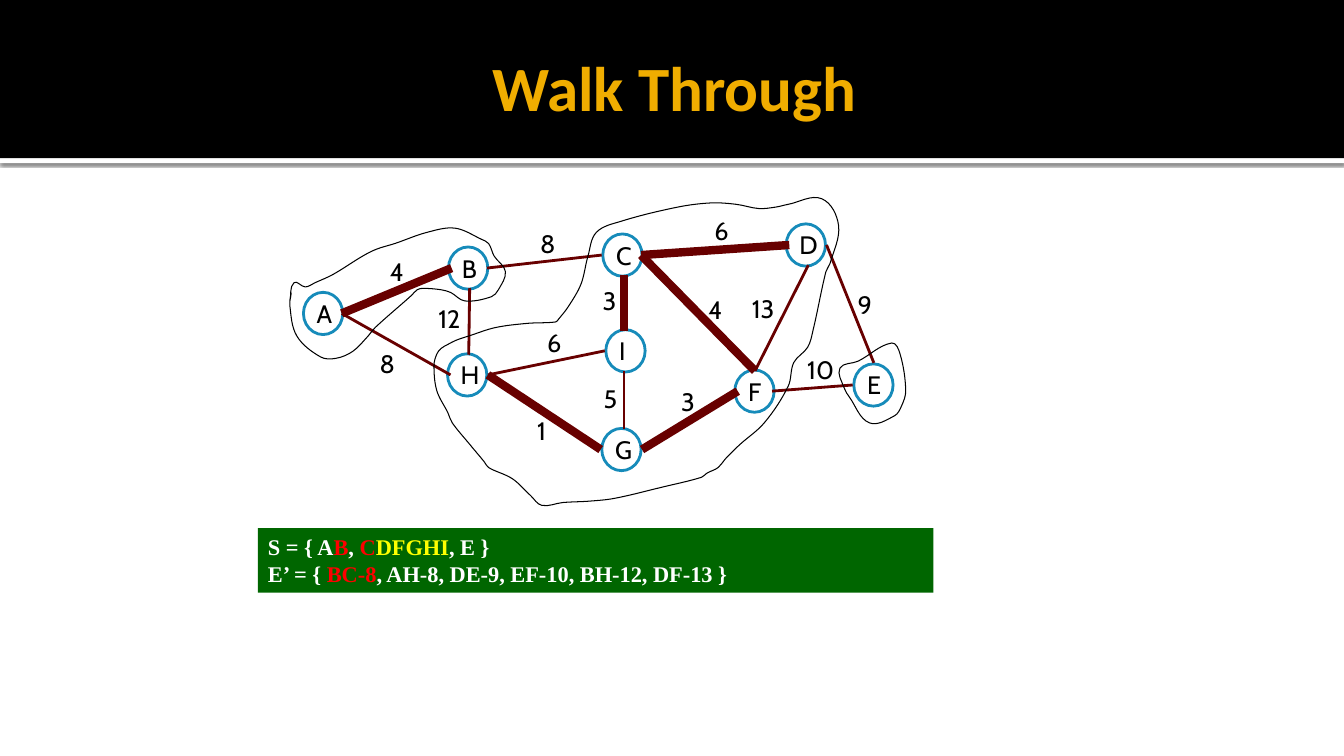
from dataclasses import dataclass
from math import dist

from lxml.etree import SubElement
from pptx import Presentation
from pptx.dml.color import RGBColor
from pptx.enum.shapes import MSO_CONNECTOR as Line, MSO_SHAPE as Preset
from pptx.enum.text import MSO_ANCHOR as Anchor, PP_ALIGN as Align
from pptx.oxml.ns import qn
from pptx.util import Pt


@dataclass(frozen=True)
class Theme:
    black: str = "000000"
    white: str = "FFFFFF"
    gold: str = "F0AD00"
    ring: str = "168BBA"
    edge: str = "680000"
    panel: str = "006600"
    red: str = "FF0000"
    yellow: str = "FFFF00"
    title_font: str = "Calibri"
    graph_font: str = "Cabin"
    set_font: str = "Times New Roman"
    title_size: float = 45
    graph_size: float = 18
    set_size: float = 16
    thin: float = 2
    thick: float = 6
    outline: float = 0.75


NODE_WIDTH, NODE_HEIGHT = 28.1, 30.2
LABEL_HEIGHT = 28.8

NODES = {
    "A": (230.8, 223.9, 25.2),
    "B": (334.4, 191.5, 25.2),
    "C": (444.6, 182.2, 25.2),
    "D": (575.6, 175, 26.6),
    "E": (623.9, 275, 24.5),
    "F": (538.9, 279.4, 23.8),
    "G": (443.9, 321.1, 26.6),
    "H": (333.7, 267.8, 26.6),
    "I": (446.8, 250.6, 21.6),
}

THIN_EDGES = [
    ((334.8, 253.4), (335.5, 205.9), "12", (306, 213.1)),
    ((429.8, 182.2), (347.8, 191.5), "8", (378.7, 159.8)),
    ((244.1, 223.9), (321.8, 267.8), "8", (264.2, 245.5)),
    ((445.7, 306.7), (445.7, 265), "5", (424.1, 270)),
    ((348.5, 267.8), (432, 250.6), "6", (383.8, 230.4)),
    ((551.5, 279.4), (609.1, 275), "10", (569.5, 249.8)),
    ((577.4, 189.4), (539.3, 265), "13", (529.9, 205.9)),
    ((590.4, 175), (624.2, 259.2), "9", (605.5, 203)),
]
THICK_EDGES = [
    ((563.8, 175), (457.9, 182.2), "6", (503.3, 150.5)),
    ((445.7, 196.6), (445.7, 236.2), "3", (423.4, 200.2)),
    ((457.9, 182.2), (539.3, 265), "4", (499, 206.6)),
    ((348.5, 267.8), (429.1, 321.1), "1", (376.6, 293)),
    ((244.1, 223.9), (322.6, 191.5), "4", (271.4, 179.3)),
    ((458.6, 321.1), (527, 279.4), "3", (479.5, 272.2)),
]

GROUP_AB = [
    (208, 209), (207, 218), (212, 240), (229, 255), (240, 256), (252, 251),
    (263, 240), (268, 234), (294, 211), (298, 207), (302, 206), (315, 207),
    (322, 209), (332, 215), (351, 212), (356, 207), (361, 194), (353, 183),
    (349, 174), (344, 171), (325, 163), (305, 166), (282, 174), (269, 178),
    (259, 183), (238, 196), (225, 202), (218, 205), (210, 202), (207, 215),
]
GROUP_CDFGHI = [
    (312, 253), (310, 261), (312, 279), (320, 295), (323, 302), (336, 318),
    (346, 330), (349, 334), (366, 342), (379, 354), (387, 361), (402, 359),
    (421, 358), (439, 356), (473, 348), (501, 341), (505, 338), (513, 334),
    (518, 328), (528, 318), (546, 302), (563, 276), (567, 259), (577, 248),
    (581, 235), (590, 194), (593, 188), (599, 161), (587, 142), (563, 146),
    (554, 148), (542, 149), (526, 146), (508, 145), (484, 148), (444, 158),
    (426, 166), (420, 183), (415, 203), (406, 219), (399, 228), (397, 230),
    (377, 231), (354, 234), (335, 240), (326, 243), (320, 246), (315, 249),
]
GROUP_E = [
    (637, 245), (613, 258), (600, 263), (603, 277), (607, 284),
    (621, 302), (639, 297), (644, 290), (647, 279), (643, 253),
]


def handle(anchor, back, ahead, reach):
    scale = reach / 3 / dist(back, ahead)
    return tuple(at + (b - a) * scale for at, a, b in zip(anchor, back, ahead))


def curve_points(anchors, close):
    count = len(anchors)
    for index in range(count if close else count - 1):
        before, start, end, after = (anchors[(index + shift) % count] for shift in (-1, 0, 1, 2))
        reach = dist(start, end)
        yield handle(start, before, end, reach)
        yield handle(end, after, start, reach)
        yield end


class GraphPage:
    def __init__(self, page, theme):
        self.page = page
        self.theme = theme

    def shape(self, preset, x, y, width, height, fill=None, line=None):
        shape = self.page.shapes.add_shape(preset, Pt(x), Pt(y), Pt(width), Pt(height))
        return self.paint(shape, fill, line, self.theme.thin)

    def paint(self, shape, fill, line, weight):
        shape.shadow.inherit = False
        if fill:
            shape.fill.solid()
            shape.fill.fore_color.rgb = RGBColor.from_string(fill)
        else:
            shape.fill.background()
        if line:
            shape.line.color.rgb = RGBColor.from_string(line)
            shape.line.width = Pt(weight)
        else:
            shape.line.fill.background()
        return shape

    def style(self, para, font, size, color=None, bold=False):
        para.font.name = font
        para.font.size = Pt(size)
        para.font.bold = bold
        if color:
            para.font.color.rgb = RGBColor.from_string(color)

    def header(self, title):
        theme = self.theme
        strip = self.shape(Preset.RECTANGLE, 0, 113, 960, 3.6, theme.white)
        effects = strip._element.spPr.find(qn("a:effectLst"))
        shadow = SubElement(effects, qn("a:outerShdw"), blurRad=str(Pt(2.5)),
                            dist=str(Pt(0.8)), dir="5400000", rotWithShape="0")
        tint = SubElement(shadow, qn("a:srgbClr"), val=theme.black)
        SubElement(tint, qn("a:alpha"), val="60000")
        self.shape(Preset.RECTANGLE, 0, 0, 960, 113, theme.black)
        box = self.page.shapes.add_textbox(Pt(48), Pt(12.2), Pt(864), Pt(98.6))
        frame = box.text_frame
        frame.word_wrap = True
        frame.margin_right = Pt(3.6)
        frame.vertical_anchor = Anchor.MIDDLE
        para = frame.paragraphs[0]
        para.text = title
        para.alignment = Align.CENTER
        self.style(para, theme.title_font, theme.title_size, theme.gold, True)

    def label(self, text, x, y, width):
        box = self.page.shapes.add_textbox(Pt(x), Pt(y), Pt(width), Pt(LABEL_HEIGHT))
        box.text_frame.word_wrap = False
        para = box.text_frame.paragraphs[0]
        para.text = text
        self.style(para, self.theme.graph_font, self.theme.graph_size, self.theme.black)

    def node(self, name, x, y, label_width):
        left, top = x - NODE_WIDTH / 2, y - NODE_HEIGHT / 2
        self.shape(Preset.OVAL, left, top, NODE_WIDTH, NODE_HEIGHT, line=self.theme.ring)
        self.label(name, left + 2.4, top + 0.7, label_width)

    def edge(self, start, end, weight, place, width):
        points = [Pt(value) for value in (*start, *end)]
        line = self.page.shapes.add_connector(Line.STRAIGHT, *points)
        line.line.color.rgb = RGBColor.from_string(self.theme.edge)
        line.line.width = Pt(width)
        SubElement(line._element.spPr, qn("a:effectLst"))
        self.label(weight, *place, 14.4 + 10.1 * len(weight))

    def group(self, anchors, close=True):
        builder = self.page.shapes.build_freeform(*map(Pt, anchors[0]))
        points = [(Pt(x), Pt(y)) for x, y in curve_points(anchors, close)]
        builder.add_line_segments(points, close=close)
        shape = builder.convert_to_shape()
        outline = next(shape._element.iter(qn("a:path")))
        segments = outline.findall(qn("a:lnTo"))
        for trio in zip(segments[::3], segments[1::3], segments[2::3]):
            curve = outline.makeelement(qn("a:cubicBezTo"))
            trio[0].addprevious(curve)
            for segment in trio:
                curve.append(segment[0])
                outline.remove(segment)
        self.paint(shape, None, self.theme.black, self.theme.outline)

    def sets(self, rows):
        panel = self.shape(Preset.RECTANGLE, 184.3, 377.3, 482.4, 46.1, self.theme.panel)
        frame = panel.text_frame
        frame.word_wrap = True
        frame.vertical_anchor = Anchor.TOP
        for index, row in enumerate(rows):
            para = frame.add_paragraph() if index else frame.paragraphs[0]
            para.alignment = Align.LEFT
            self.style(para, self.theme.set_font, self.theme.set_size, bold=True)
            for text, color in row:
                span = para.add_run()
                span.text = text
                span.font.color.rgb = RGBColor.from_string(color)


def main():
    deck = Presentation()
    deck.slide_width, deck.slide_height = Pt(960), Pt(540)
    theme = Theme()
    graph = GraphPage(deck.slides.add_slide(deck.slide_layouts[6]), theme)
    graph.header("Walk Through")
    for name, place in NODES.items():
        graph.node(name, *place)
    for edges, width in ((THIN_EDGES, theme.thin), (THICK_EDGES, theme.thick)):
        for edge in edges:
            graph.edge(*edge, width)
    graph.group(GROUP_AB, close=False)
    graph.group(GROUP_CDFGHI)
    white, red = theme.white, theme.red
    graph.sets([
        [("S = { A", white), ("B", red), (", ", white), ("C", red),
         ("DFGHI", theme.yellow), (", E }", white)],
        [("E’ = { ", white), ("BC-8", red),
         (", AH-8, DE-9, EF-10, BH-12, DF-13 }", white)],
    ])
    graph.group(GROUP_E)
    deck.save("out.pptx")


if __name__ == "__main__":
    main()
